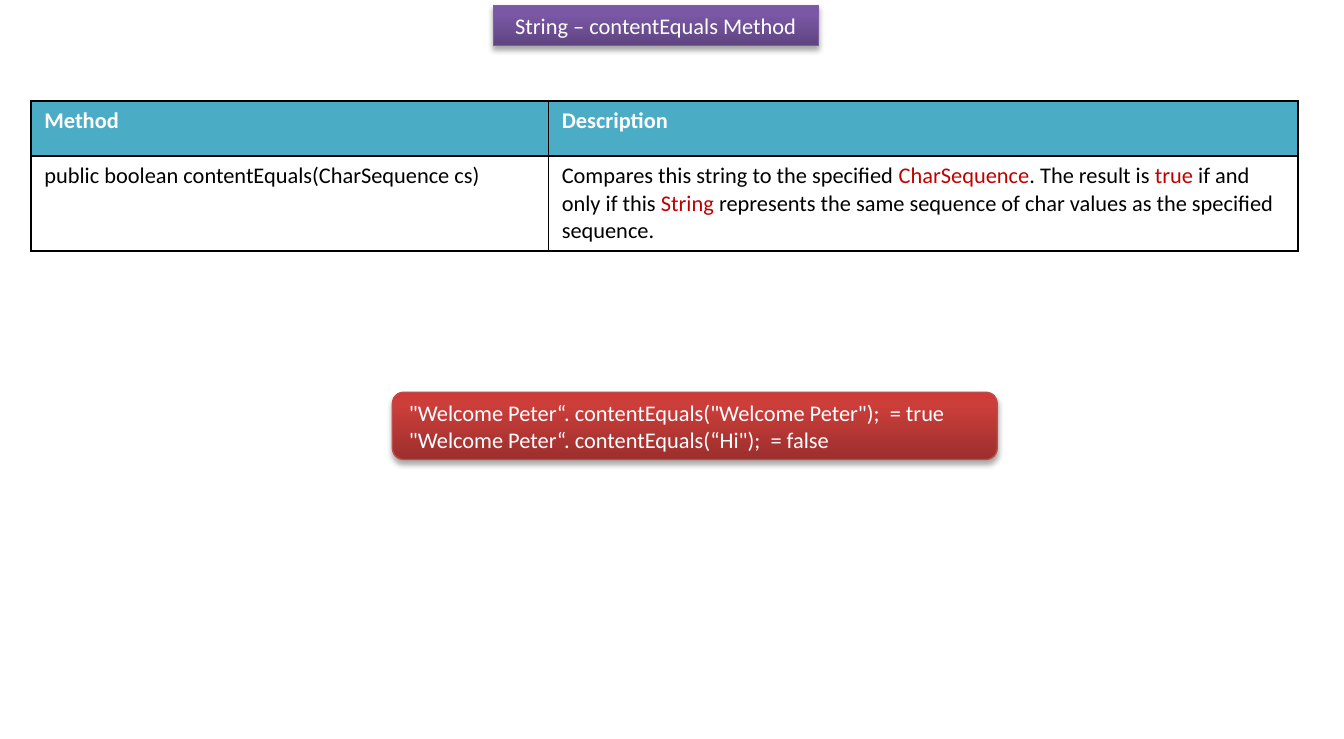
from copy import deepcopy
from dataclasses import dataclass

from lxml import etree
from pptx import Presentation
from pptx.dml.color import RGBColor
from pptx.enum.shapes import MSO_SHAPE
from pptx.enum.text import MSO_ANCHOR, PP_ALIGN
from pptx.oxml import parse_xml
from pptx.oxml.ns import nsdecls, qn
from pptx.util import Inches, Pt

RECTANGLE = MSO_SHAPE.RECTANGLE
ROUNDED = MSO_SHAPE.ROUNDED_RECTANGLE
TOP, MIDDLE = MSO_ANCHOR.TOP, MSO_ANCHOR.MIDDLE
LEFT, CENTER = PP_ALIGN.LEFT, PP_ALIGN.CENTER

WHITE = RGBColor(0xFF, 0xFF, 0xFF)
BLACK = RGBColor(0x00, 0x00, 0x00)
RED = RGBColor(0xC0, 0x00, 0x00)
TEAL = RGBColor(0x4B, 0xAC, 0xC6)
PURPLES = (RGBColor(0x5F, 0x44, 0x80), RGBColor(0x7B, 0x58, 0xA6), RGBColor(0x7C, 0x57, 0xA8))
PURPLE_LINE = RGBColor(0x7D, 0x60, 0xA0)
REDS = (RGBColor(0x9C, 0x2F, 0x2D), RGBColor(0xCB, 0x3E, 0x3A), RGBColor(0xCE, 0x3B, 0x37))
RED_LINE = RGBColor(0xBF, 0x4C, 0x48)
GRADIENT_POSITIONS = (0, 0.8, 1)

FONT = "Calibri"
FONT_SIZE = Pt(12)
COLUMN_WIDTHS = (3.85, 5.58)
ROW_HEIGHTS = (0.41, 0.7)


@dataclass
class TextRun:
    text: str
    color: RGBColor = BLACK
    bold: bool = False


@dataclass
class Banner:
    kind: MSO_SHAPE
    left: float
    top: float
    width: float
    height: float
    gradient: tuple[RGBColor, ...]
    line: RGBColor
    lines: tuple[str, ...]
    alignment: PP_ALIGN
    anchor: MSO_ANCHOR


BANNERS = (
    Banner(RECTANGLE, 3.67, 0.04, 2.42, 0.3, PURPLES, PURPLE_LINE,
           ("String – contentEquals Method",), CENTER, TOP),
    Banner(ROUNDED, 2.92, 2.92, 4.5, 0.5, REDS, RED_LINE,
           ('"Welcome Peter“. contentEquals("Welcome Peter");  = true',
            '"Welcome Peter“. contentEquals(“Hi");  = false'), LEFT, MIDDLE),
)

TABLE_ROWS = (
    ([TextRun("Method", WHITE, True)], [TextRun("Description", WHITE, True)]),
    ([TextRun("public boolean contentEquals(CharSequence cs)")],
     [TextRun("Compares this string to the specified "),
      TextRun("CharSequence", RED),
      TextRun(". The result is "),
      TextRun("true", RED),
      TextRun(" if and only if this "),
      TextRun("String", RED),
      TextRun(" represents the same sequence of char values as the specified sequence.")]),
)


def add_runs(paragraph, runs: list[TextRun]) -> None:
    for item in runs:
        run = paragraph.add_run()
        run.text = item.text
        run.font.name = FONT
        run.font.size = FONT_SIZE
        run.font.bold = item.bold
        run.font.color.rgb = item.color


def fill_gradient(shape, colors: tuple[RGBColor, ...]) -> None:
    """Fill from bottom to top with three colour stops."""
    shape.fill.gradient()
    shape.fill.gradient_angle = 90
    stop_list = next(shape._element.spPr.iter(qn("a:gsLst")))
    stop_list.append(deepcopy(stop_list[0]))
    for stop, color, position in zip(shape.fill.gradient_stops, colors, GRADIENT_POSITIONS):
        stop.color.rgb = color
        stop.position = position


def add_shadow(shape) -> None:
    shape.shadow.inherit = False
    effects = shape._element.spPr.find(qn("a:effectLst"))
    effects.append(parse_xml(
        f'<a:outerShdw {nsdecls("a")} blurRad="{Pt(3.1)}" dist="{Pt(1.8)}" dir="5400000" '
        'rotWithShape="0"><a:srgbClr val="000000"><a:alpha val="35000"/></a:srgbClr>'
        '</a:outerShdw>'))


def add_banner(slide, banner: Banner) -> None:
    shape = slide.shapes.add_shape(
        banner.kind, Inches(banner.left), Inches(banner.top),
        Inches(banner.width), Inches(banner.height))
    fill_gradient(shape, banner.gradient)
    shape.line.color.rgb = banner.line
    shape.line.width = Pt(0.75)
    add_shadow(shape)
    frame = shape.text_frame
    frame.word_wrap = True
    frame.vertical_anchor = banner.anchor
    for index, line in enumerate(banner.lines):
        paragraph = frame.add_paragraph() if index else frame.paragraphs[0]
        paragraph.alignment = banner.alignment
        add_runs(paragraph, [TextRun(line, WHITE)])


def add_borders(cell) -> None:
    properties = cell._tc.get_or_add_tcPr()
    for index, side in enumerate(("lnL", "lnR", "lnT", "lnB")):
        border = etree.Element(qn(f"a:{side}"), w=str(Pt(1)))
        fill = etree.SubElement(border, qn("a:solidFill"))
        etree.SubElement(fill, qn("a:srgbClr"), val=str(BLACK))
        properties.insert(index, border)


def add_method_table(slide) -> None:
    table = slide.shapes.add_table(
        len(ROW_HEIGHTS), len(COLUMN_WIDTHS), Inches(0.23), Inches(0.75),
        Inches(sum(COLUMN_WIDTHS)), Inches(sum(ROW_HEIGHTS))).table
    for column, width in zip(table.columns, COLUMN_WIDTHS):
        column.width = Inches(width)
    for row, height, contents, color in zip(table.rows, ROW_HEIGHTS, TABLE_ROWS, (TEAL, WHITE)):
        row.height = Inches(height)
        for cell, runs in zip(row.cells, contents):
            cell.fill.solid()
            cell.fill.fore_color.rgb = color
            add_borders(cell)
            add_runs(cell.text_frame.paragraphs[0], runs)


def main() -> None:
    presentation = Presentation()
    presentation.slide_width = Inches(10)
    presentation.slide_height = Inches(5.5)
    slide = presentation.slides.add_slide(presentation.slide_layouts[6])
    for banner in BANNERS:
        add_banner(slide, banner)
    add_method_table(slide)
    presentation.save("out.pptx")


if __name__ == "__main__":
    main()
